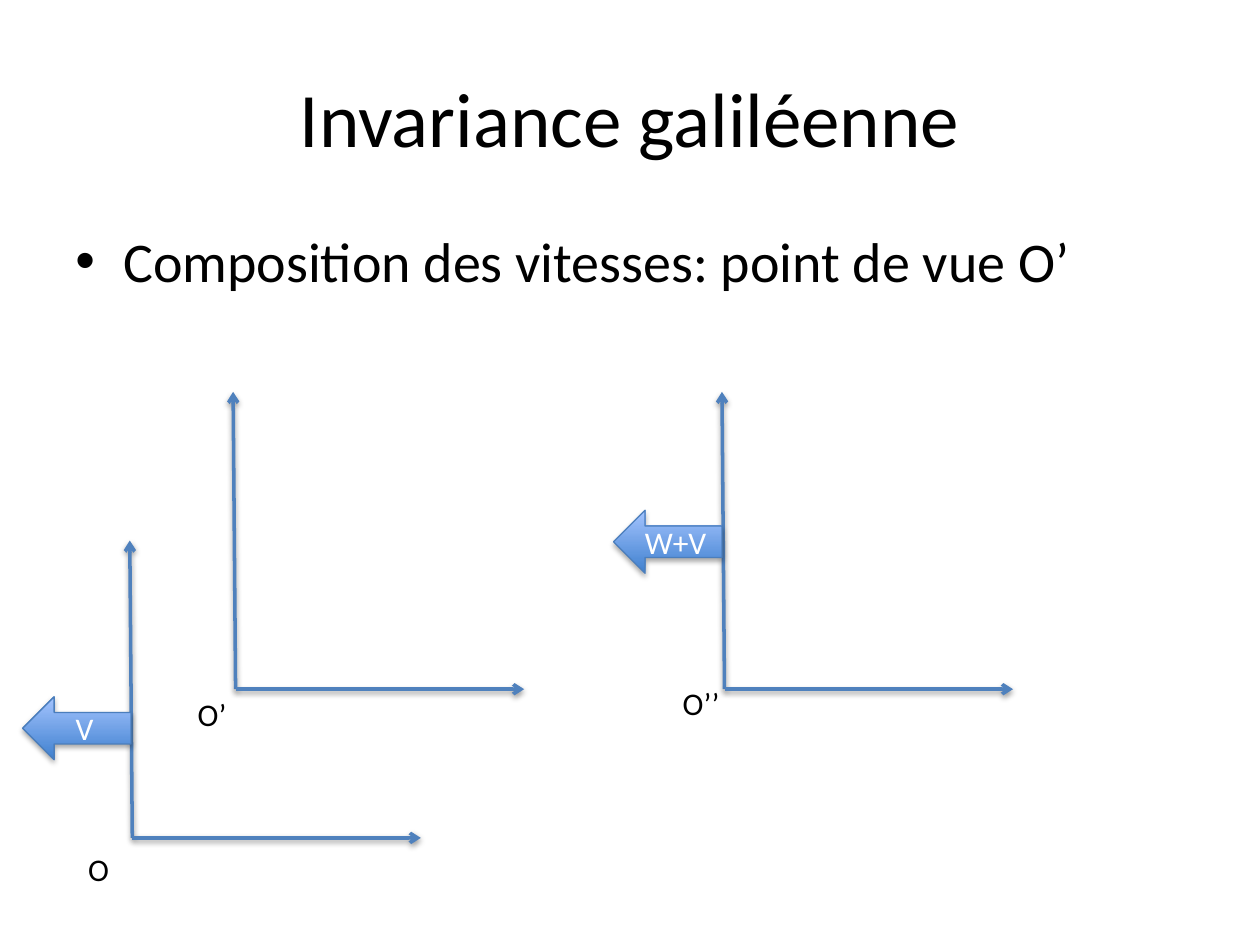
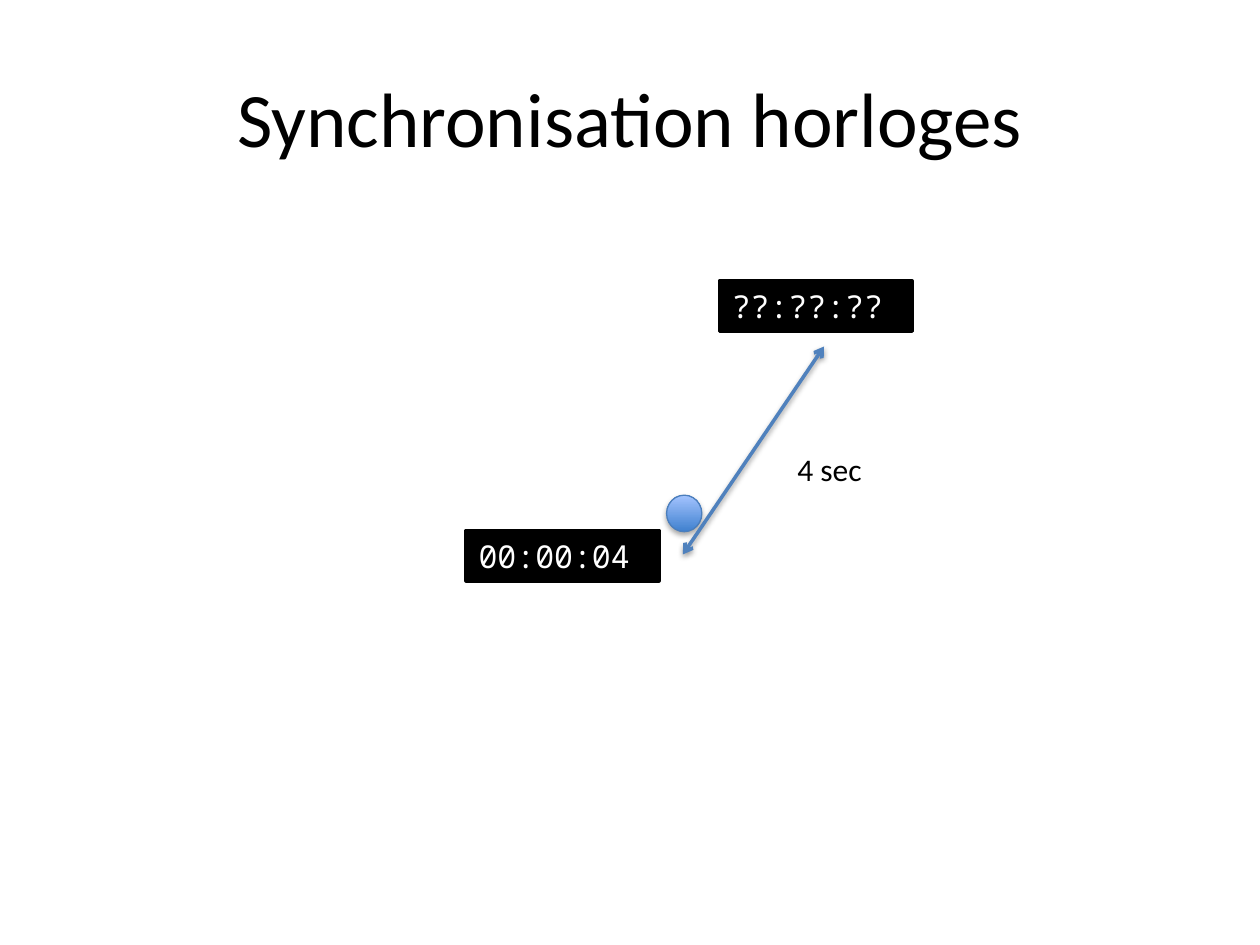
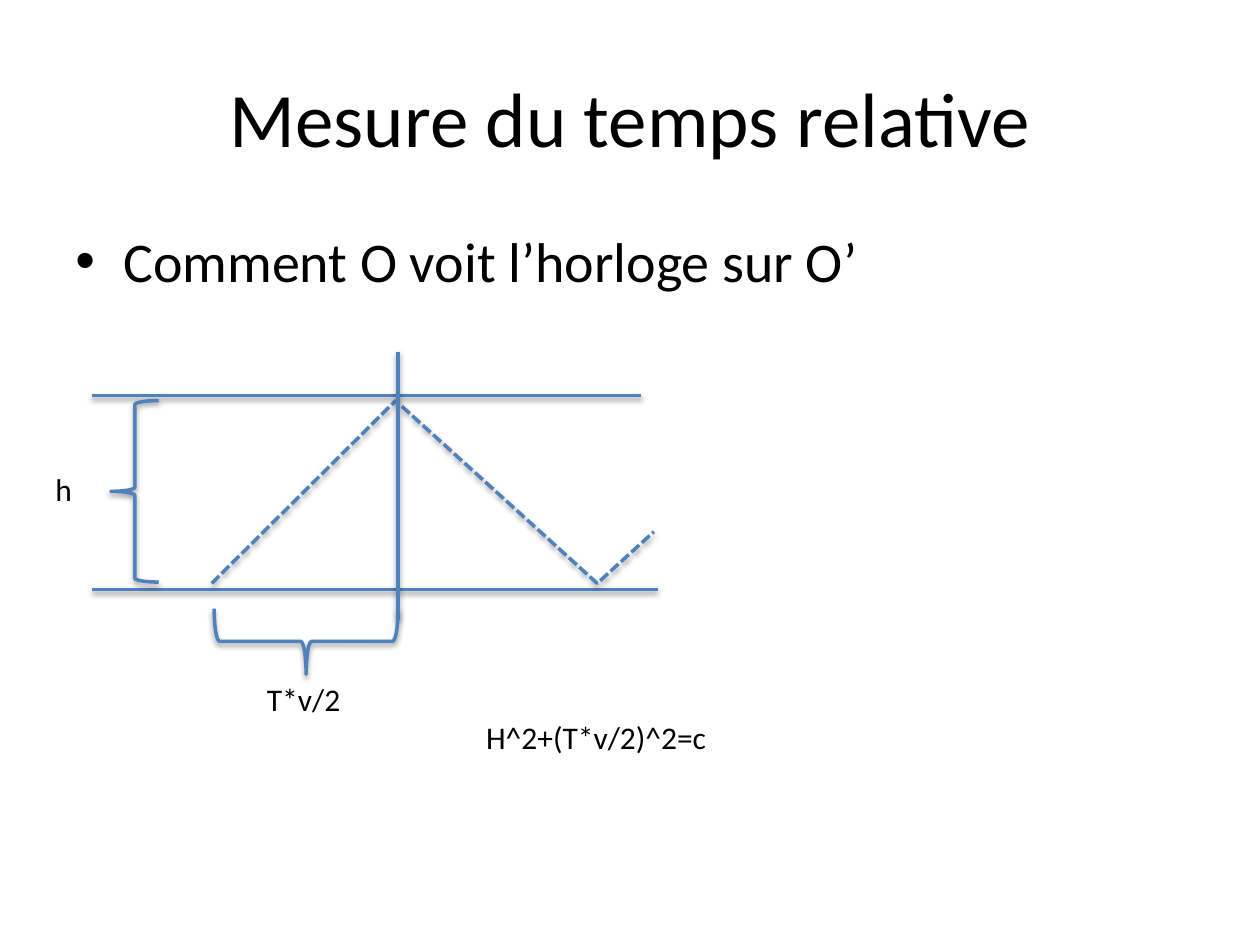
"""Build three physics slides on relative motion, clocks and measured time."""
from lxml import etree
from pptx import Presentation
from pptx.dml.color import RGBColor
from pptx.enum.dml import MSO_LINE
from pptx.enum.shapes import MSO_CONNECTOR, MSO_SHAPE
from pptx.enum.text import MSO_ANCHOR, MSO_AUTO_SIZE, PP_ALIGN
from pptx.oxml.ns import qn
from pptx.util import Emu, Pt

PX = 9144
COLORS = {
    "text": "000000",
    "light": "FFFFFF",
    "clock": "000000",
    "stroke": "4F81BD",
    "edge": "4B7EBC",
    "deep": "3F80CE",
    "pale": "A4C4FF",
}
LABEL = {"word_wrap": True, "auto_size": MSO_AUTO_SIZE.SHAPE_TO_FIT_TEXT,
         "vertical_anchor": MSO_ANCHOR.TOP}
CENTERED = {"word_wrap": True, "vertical_anchor": MSO_ANCHOR.MIDDLE}
BODY = {"word_wrap": True, "vertical_anchor": MSO_ANCHOR.TOP}


def color(key):
    return RGBColor.from_string(COLORS[key])


def assign(target, values):
    for name, value in values.items():
        setattr(target, name, value)


def child(parent, tag, **attributes):
    return etree.SubElement(parent, qn(tag), attributes)


class Deck:
    def __init__(self):
        self.deck = Presentation()
        assign(self.deck, {"slide_width": Emu(1000 * PX), "slide_height": Emu(750 * PX)})
        self.slide = None

    def box(self, *lengths):
        return [Emu(length * PX) for length in lengths]

    def new_slide(self, heading):
        self.slide = self.deck.slides.add_slide(self.deck.slide_layouts[5])
        title = self.slide.shapes.title
        assign(title, dict(zip(("left", "top", "width", "height"), self.box(50, 30, 900, 125))))
        self.put_text(title, heading, CENTERED, size=44, align=PP_ALIGN.CENTER)

    def put_text(self, shape, text, frame, size=18, ink="text", font="Calibri",
                 align=PP_ALIGN.LEFT):
        assign(shape.text_frame, frame)
        paragraph = shape.text_frame.paragraphs[0]
        paragraph.alignment = align
        run = paragraph.add_run()
        run.text = text
        assign(run.font, {"name": font, "size": Pt(size)})
        run.font.color.rgb = color(ink)
        return paragraph

    def label(self, text, x, y, width):
        self.put_text(self.slide.shapes.add_textbox(*self.box(x, y, width, 40)), text, LABEL)

    def bullet(self, text, height):
        body = self.slide.shapes.add_textbox(*self.box(50, 175, 900, height))
        properties = self.put_text(body, text, BODY, size=32)._p.get_or_add_pPr()
        properties.set("marL", str(38 * PX))
        properties.set("indent", str(-38 * PX))
        child(child(properties, "a:spcBef"), "a:spcPct", val="20000")
        child(properties, "a:buFont", typeface="Arial")
        child(properties, "a:buChar", char="•")

    def stroke(self, line, ink="stroke", width=2):
        line.color.rgb = color(ink)
        line.width = Pt(width)

    def shadow(self, shape, distance=20000, opacity=38000):
        properties = shape._element.spPr
        effects = properties.find(qn("a:effectLst"))
        if effects is None:
            effects = child(properties, "a:effectLst")
        outer = child(effects, "a:outerShdw", blurRad="40000", dist=str(distance),
                      dir="5400000", rotWithShape="0")
        child(child(outer, "a:srgbClr", val="000000"), "a:alpha", val=str(opacity))

    def line(self, start, end, arrows=()):
        connector = self.slide.shapes.add_connector(
            MSO_CONNECTOR.STRAIGHT, *self.box(*start, *end))
        self.stroke(connector.line)
        outline = connector._element.spPr.find(qn("a:ln"))
        for arrow in arrows:
            child(outline, arrow, type="arrow")
        self.shadow(connector)

    def shape(self, kind, *lengths):
        shape = self.slide.shapes.add_shape(kind, *self.box(*lengths))
        shape.shadow.inherit = False
        return shape

    def glossy(self, kind, *lengths):
        shape = self.shape(kind, *lengths)
        shape.fill.gradient()
        shape.fill.gradient_angle = 90
        for stop, key in zip(shape.fill.gradient_stops, ("deep", "pale")):
            stop.color.rgb = color(key)
        self.stroke(shape.line, "edge", 0.75)
        self.shadow(shape, 23000, 35000)
        return shape

    def velocity(self, text, x, y):
        arrow = self.glossy(MSO_SHAPE.LEFT_ARROW, x, y, 86, 50)
        self.put_text(arrow, text, CENTERED, ink="light", align=PP_ALIGN.CENTER)

    def axes(self, x, y):
        for end in ((x - 2, y - 236), (x + 229, y)):
            self.line((x, y), end, ["a:tailEnd"])

    def clock(self, text, x, y):
        display = self.shape(MSO_SHAPE.RECTANGLE, x, y, 153, 40)
        display.fill.solid()
        display.fill.fore_color.rgb = color("clock")
        self.stroke(display.line, "clock")
        self.put_text(display, text, LABEL, ink="light", font="Noto Sans Mono")

    def brace(self, *lengths, rotation=0):
        brace = self.shape(MSO_SHAPE.LEFT_BRACE, *lengths)
        brace.rotation = rotation
        brace.fill.background()
        self.stroke(brace.line)
        self.shadow(brace)

    def dashed_line(self, start, *points):
        builder = self.slide.shapes.build_freeform(*start, scale=PX)
        builder.add_line_segments(points, close=False)
        ray = builder.convert_to_shape()
        ray.shadow.inherit = False
        ray.fill.background()
        self.stroke(ray.line)
        ray.line.dash_style = MSO_LINE.SQUARE_DOT
        self.shadow(ray)


def galilean_invariance(deck):
    deck.new_slide("Invariance galiléenne")
    deck.bullet("Composition des vitesses: point de vue O’", 495)
    for origin in ((105, 665), (187, 547), (575, 547)):
        deck.axes(*origin)
    deck.velocity("W+V", 487, 405)
    for observer, x, y in (("O", 60, 670), ("O’", 147, 547), ("O’’", 532, 538)):
        deck.label(observer, x, y, 55)
    deck.velocity("V", 18, 553)


def clock_synchronisation(deck):
    deck.new_slide("Synchronisation horloges")
    deck.clock("??:??:??", 571, 223)
    deck.glossy(MSO_SHAPE.OVAL, 529, 393, 28, 29)
    deck.clock("00:00:04", 370, 421)
    deck.line((542, 440), (654, 275), ["a:headEnd", "a:tailEnd"])
    deck.label("4 sec", 623, 352, 88)


def relative_time(deck):
    deck.new_slide("Mesure du temps relative")
    deck.bullet("Comment O voit l’horloge sur O’", 85)
    deck.line((73, 314), (509, 314))
    deck.line((73, 468), (522, 468))
    deck.dashed_line((168, 463), (314, 318), (474, 463), (519, 422))
    deck.brace(88, 318, 38, 144)
    deck.label("h", 34, 368, 39)
    deck.line((316, 279), (316, 492))
    deck.brace(217, 436, 52, 146, rotation=270)
    deck.label("T*v/2", 202, 535, 80)
    deck.label("H^2+(T*v/2)^2=c", 376, 565, 338)


def main():
    deck = Deck()
    for build in (galilean_invariance, clock_synchronisation, relative_time):
        build(deck)
    deck.deck.save("out.pptx")


if __name__ == "__main__":
    main()
